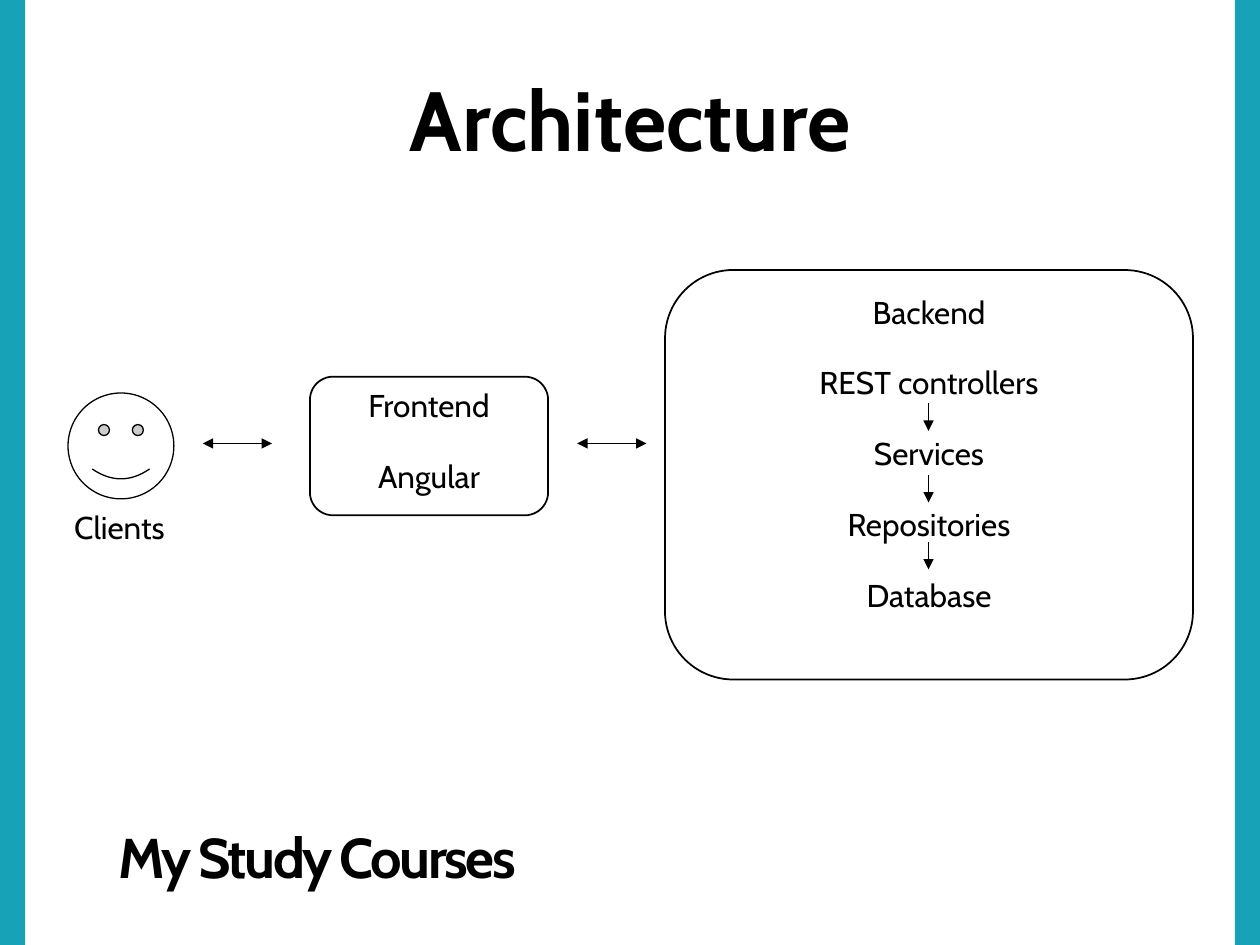
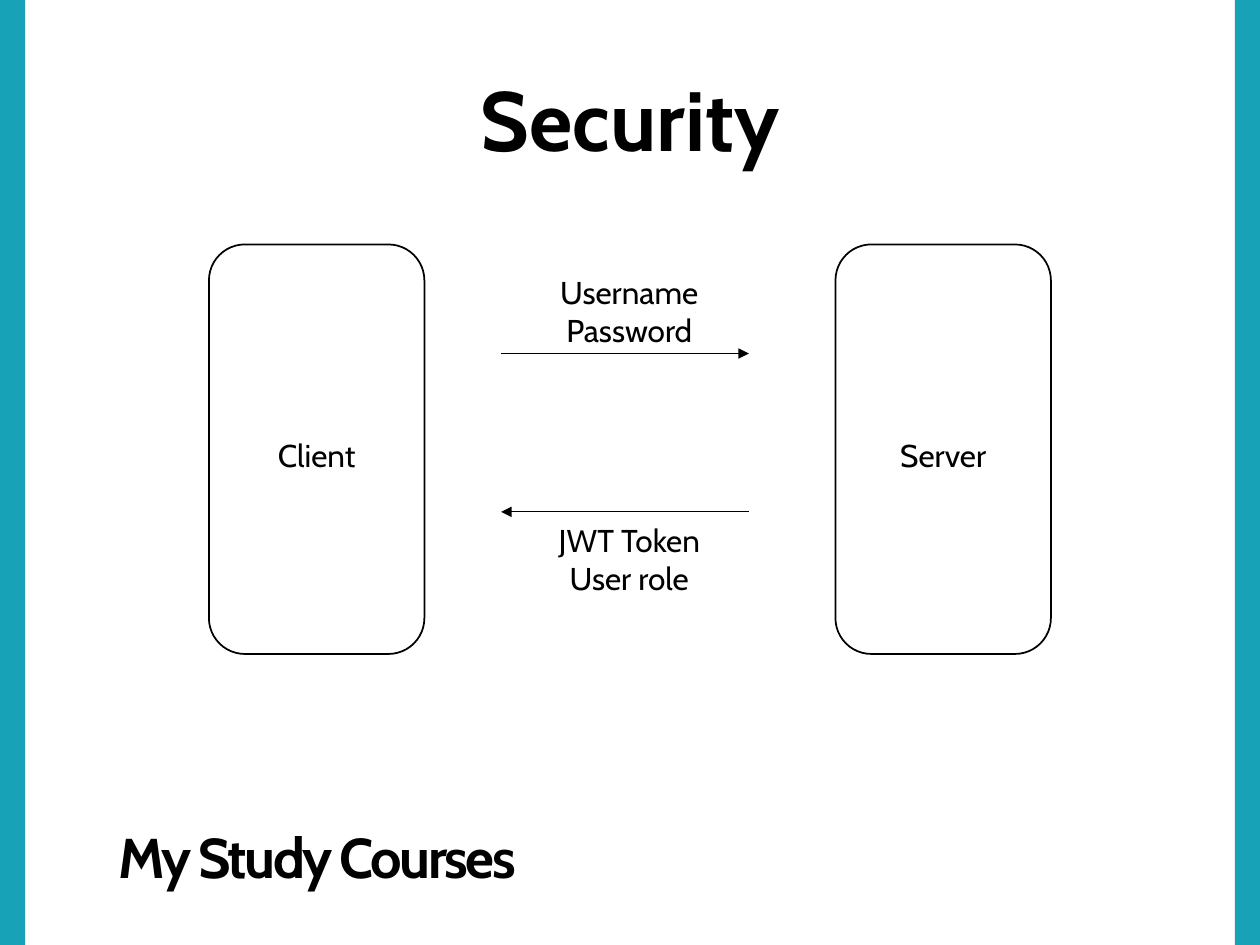
from pptx import Presentation
from pptx.dml.color import RGBColor
from pptx.enum.shapes import MSO_CONNECTOR as Connector, MSO_SHAPE as Preset
from pptx.enum.text import MSO_ANCHOR as Anchor, MSO_AUTO_SIZE as AutoSize, PP_ALIGN as Align
from pptx.oxml.ns import qn
from pptx.util import Pt
from lxml.etree import SubElement

WIDTH, HEIGHT = 720, 540
LINE_PITCH = 20.3


def color(hex_string):
    return RGBColor.from_string(hex_string)


def write(shape, text, size=18, bold=False, align=Align.CENTER, anchor=Anchor.TOP,
          line_spacing=None, gap=0, tracking=None, margins=(7.2, 3.6, 7.2, 3.6)):
    frame = shape.text_frame
    frame.word_wrap = True
    frame.auto_size = AutoSize.NONE
    frame.vertical_anchor = anchor
    frame.margin_left, frame.margin_top, frame.margin_right, frame.margin_bottom = map(Pt, margins)
    for index, line in enumerate(text.split("\n")):
        para = frame.add_paragraph() if index else frame.paragraphs[0]
        para.alignment = align
        para.space_before = Pt(gap if index else 0)
        if line_spacing:
            para.line_spacing = line_spacing
        span = para.add_run()
        span.text = line
        span.font.name = Deck.font
        span.font.size = Pt(size)
        span.font.bold = bold
        span.font.color.rgb = color(Deck.ink)
    if tracking:
        for properties in shape.element.iter(qn("a:rPr")):
            properties.set("spc", str(round(tracking * 100)))


class Deck:
    font = "Cabin"
    ink = "000000"
    paper = "FFFFFF"
    accent = "17A2B8"
    band_width = 14.4
    tight = 0.93
    footer = "My Study Courses"

    def __init__(self):
        self.deck = Presentation()
        self.deck.slide_width, self.deck.slide_height = Pt(WIDTH), Pt(HEIGHT)
        self.page = None

    def add_page(self, title):
        self.page = self.deck.slides.add_slide(self.deck.slide_layouts[0])
        subtitle = self.page.placeholders[1].element
        subtitle.getparent().remove(subtitle)
        for left in (0, WIDTH - self.band_width):
            self.shape(Preset.RECTANGLE, left, 0, self.band_width, HEIGHT, fill=self.accent)
        heading = self.page.shapes.title
        heading.left, heading.top, heading.width, heading.height = map(Pt, (29.5, 27.4, 661, 126.7))
        write(heading, title, size=48, bold=True, anchor=Anchor.BOTTOM,
              line_spacing=self.tight, margins=(0, 0, 0, 57))
        self.label(self.footer, 60.5, 466.6, 241.2, 46.1,
                   size=32, bold=True, align=Align.RIGHT, tracking=-1.5,
                   margins=(0, 3.6, 7.2, 3.6))

    def shape(self, preset, left, top, width, height, fill=paper, line_width=None):
        shape = self.page.shapes.add_shape(preset, *map(Pt, (left, top, width, height)))
        shape.shadow.inherit = False
        shape.fill.solid()
        shape.fill.fore_color.rgb = color(fill)
        if line_width:
            shape.line.color.rgb = color(self.ink)
            shape.line.width = Pt(line_width)
        else:
            shape.line.fill.background()
        return shape

    def node(self, text, left, top, width, height, **style):
        box = self.shape(Preset.ROUNDED_RECTANGLE, left, top, width, height, line_width=1)
        write(box, text, line_spacing=self.tight, **style)

    def label(self, text, left, top, width, height, **style):
        box = self.page.shapes.add_textbox(*map(Pt, (left, top, width, height)))
        write(box, text, **style)

    def arrow(self, start, end, both_ways=False):
        arrow = self.page.shapes.add_connector(Connector.STRAIGHT, *map(Pt, (*start, *end)))
        arrow.line.color.rgb = color(self.ink)
        arrow.line.width = Pt(0.75)
        properties = arrow.element.find(qn("p:spPr"))
        outline = properties.find(qn("a:ln"))
        for tag in ("a:headEnd", "a:tailEnd") if both_ways else ("a:tailEnd",):
            SubElement(outline, qn(tag)).set("type", "triangle")
        SubElement(properties, qn("a:effectLst"))

    def save(self):
        self.deck.save("out.pptx")


def architecture(slides):
    slides.add_page("Architecture")
    slides.shape(Preset.SMILEY_FACE, 38.9, 224.6, 60.5, 60.5, line_width=0.75)
    slides.label("Clients", 35.3, 287, 69.1, 28.8, align=Align.LEFT)
    slides.node("Frontend\nAngular", 177.1, 215.3, 136.1, 79.2, gap=LINE_PITCH)
    layers = ("Backend", "REST controllers", "Services", "Repositories", "Database")
    slides.node("\n".join(layers), 380, 154.3, 301.7, 234, gap=LINE_PITCH)
    for top in (230.4, 271.4, 309.6):
        slides.arrow((530.6, top), (530.6, top + 15.8))
    for left in (115.9, 329.8):
        slides.arrow((left, 253.4), (left + 39.6, 253.4), both_ways=True)


def security(slides):
    slides.add_page("Security")
    for name, left in (("Client", 119.4), ("Server", 477.4)):
        slides.node(name, left, 139.7, 123.1, 234, margins=(7.2, 3.6 + 5 * LINE_PITCH, 7.2, 3.6))
    client_end, server_end = 286.4, 427.9
    slides.arrow((client_end, 202), (server_end, 202))
    slides.arrow((server_end, 292.5), (client_end, 292.5))
    for text, top in (("Username\nPassword", 152.6), ("JWT Token\nUser role", 294.3)):
        slides.label(text, 303.8, top, 111.6, 51.1)


slides = Deck()
architecture(slides)
security(slides)
slides.save()
